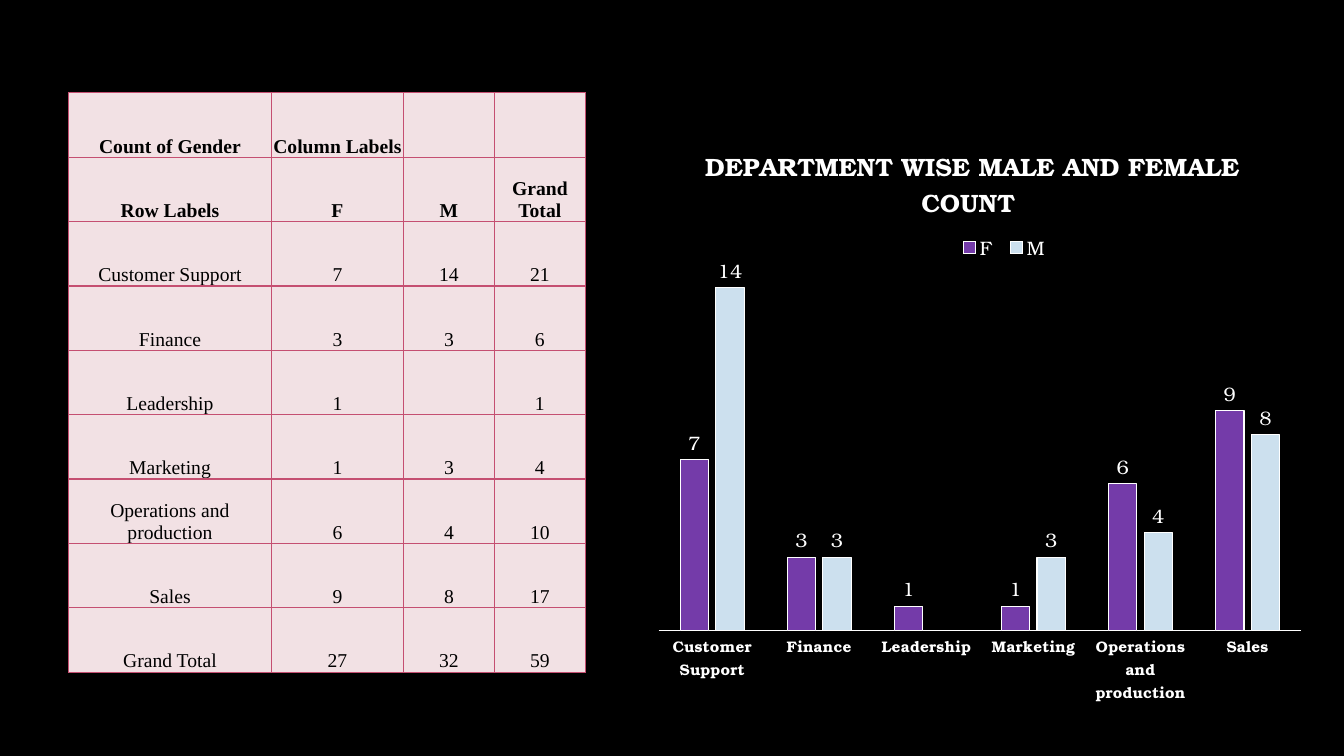
from lxml import etree
from pptx import Presentation
from pptx.chart.data import CategoryChartData
from pptx.dml.color import RGBColor
from pptx.enum.chart import XL_CHART_TYPE, XL_LABEL_POSITION, XL_LEGEND_POSITION, XL_TICK_MARK
from pptx.enum.text import MSO_ANCHOR, PP_ALIGN
from pptx.oxml import parse_xml
from pptx.oxml.ns import nsdecls, qn
from pptx.util import Cm, Pt

BARS = XL_CHART_TYPE.COLUMN_CLUSTERED
ABOVE = XL_LABEL_POSITION.OUTSIDE_END
TOP = XL_LEGEND_POSITION.TOP
NO_TICK = XL_TICK_MARK.NONE
BOTTOM = MSO_ANCHOR.BOTTOM
CENTER = PP_ALIGN.CENTER

BLACK, WHITE, PINK, ROSE = "000000", "FFFFFF", "F2E1E4", "C54F71"
SERIF, BONUM = "Times New Roman", "TeX Gyre Bonum"
COLS = (5.11, 3.33, 2.29, 2.29)
CELL = dict(margin_left=0, margin_right=0, margin_top=0, margin_bottom=0,
            vertical_anchor=BOTTOM)
TITLE = "DEPARTMENT WISE MALE AND FEMALE COUNT "
HEAD = [("Count of Gender", "Column Labels", "", ""),
        ("Row Labels", "F", "M", "Grand Total")]
DATA = [("Customer Support", 7, 14, 21),
        ("Finance", 3, 3, 6),
        ("Leadership", 1, None, 1),
        ("Marketing", 1, 3, 4),
        ("Operations and production", 6, 4, 10),
        ("Sales", 9, 8, 17)]
TOTAL = ("Grand Total", 27, 32, 59)


def color(code):
    """Turn a hex string into a colour."""
    return RGBColor.from_string(code)


def apply(item, values):
    """Set each attribute named in a dict."""
    for name, value in values.items():
        setattr(item, name, value)


def style(font, face, size, code, bold=False):
    """Format a font."""
    apply(font, dict(name=face, size=Pt(size), bold=bold))
    font.color.rgb = color(code)


def paint(fill, code):
    """Give a fill one solid colour."""
    fill.solid()
    fill.fore_color.rgb = color(code)


def border(cell):
    """Draw thin rose lines on the four sides of a cell."""
    props = cell._tc.get_or_add_tcPr()
    for spot, side in enumerate(("lnL", "lnR", "lnT", "lnB")):
        line = etree.Element(qn(f"a:{side}"), w=str(Pt(1)))
        fill = etree.SubElement(line, qn("a:solidFill"))
        etree.SubElement(fill, qn("a:srgbClr"), val=ROSE)
        props.insert(spot, line)


def pin(node, spot, place, inner=False):
    """Place a chart part by fractions of the chart area."""
    for old in node.findall(qn("c:layout")):
        node.remove(old)
    parts = [("xMode", "edge"), ("yMode", "edge"), *zip("xywh", place)]
    if inner:
        parts.insert(0, ("layoutTarget", "inner"))
    body = "".join(f'<c:{tag} val="{value}"/>' for tag, value in parts)
    node.insert(spot, parse_xml(
        f'<c:layout {nsdecls("c")}><c:manualLayout>{body}</c:manualLayout></c:layout>'))


def add_grid(slide, left, top, width, height):
    """Add the table of counts."""
    rows = HEAD + DATA + [TOTAL]
    table = slide.shapes.add_table(len(rows), len(COLS), Cm(left), Cm(top),
                                   Cm(width), Cm(height)).table
    for col, size in zip(table.columns, COLS):
        col.width = Cm(size)
    for r, row in enumerate(rows):
        table.rows[r].height = Cm(height / len(rows))
        for c, value in enumerate(row):
            cell = table.cell(r, c)
            apply(cell, CELL)
            paint(cell.fill, PINK)
            border(cell)
            cell.text = "" if value is None else str(value)
            para = cell.text_frame.paragraphs[0]
            para.alignment = CENTER
            style(para.font, SERIF, 14, BLACK, r < len(HEAD))
            for run in para.runs:
                style(run.font, SERIF, 14, BLACK, r < len(HEAD))


def add_bars(slide, left, top, width, height):
    """Add the column chart of counts by department."""
    names, women, men, _ = zip(*DATA)
    data = CategoryChartData()
    data.categories = names
    data.add_series("F", women)
    data.add_series("M", men)
    chart = slide.shapes.add_chart(BARS, Cm(left), Cm(top), Cm(width),
                                   Cm(height), data).chart
    style(chart.font, BONUM, 14, WHITE)

    frame = chart.chart_title.text_frame
    frame.text = TITLE
    style(frame.paragraphs[0].runs[0].font, BONUM, 18, WHITE, True)

    chart.has_legend = True
    apply(chart.legend, dict(position=TOP, include_in_layout=False))
    style(chart.legend.font, BONUM, 14, WHITE)

    apply(chart.value_axis, dict(visible=False, has_major_gridlines=False,
                                 minimum_scale=0, maximum_scale=16))
    axis = chart.category_axis
    apply(axis, dict(major_tick_mark=NO_TICK, minor_tick_mark=NO_TICK))
    style(axis.tick_labels.font, BONUM, 11, WHITE, True)
    axis.format.line.color.rgb = color(WHITE)

    plot = chart.plots[0]
    apply(plot, dict(gap_width=150, overlap=-25, vary_by_categories=False))
    for series, code in zip(plot.series, ("743BA9", "CCE0EE")):
        paint(series.format.fill, code)
        paint(series.format.line.fill, WHITE)
        series.format.line.width = Pt(0.75)
        apply(series.data_labels, dict(show_value=True, position=ABOVE))
        style(series.data_labels.font, BONUM, 14, WHITE)

    area = chart._chartSpace.chart
    pin(area.plotArea, 0, (0.05, 0.21, 0.92, 0.67), True)
    pin(area.find(qn("c:title")), 1, (0.11, 0.04))
    pin(area.find(qn("c:legend")), 1, (0.47, 0.19, 0.15, 0.07))


def main():
    """Build the slide and save it."""
    deck = Presentation()
    apply(deck, dict(slide_width=Cm(33.87), slide_height=Cm(19.05)))
    slide = deck.slides.add_slide(deck.slide_layouts.get_by_name("Blank"))
    paint(slide.background.fill, BLACK)
    add_grid(slide, 1.73, 2.34, sum(COLS), 14.6)
    add_bars(slide, 15.72, 2.92, 17.6, 14.81)
    deck.save("out.pptx")


if __name__ == "__main__":
    main()
